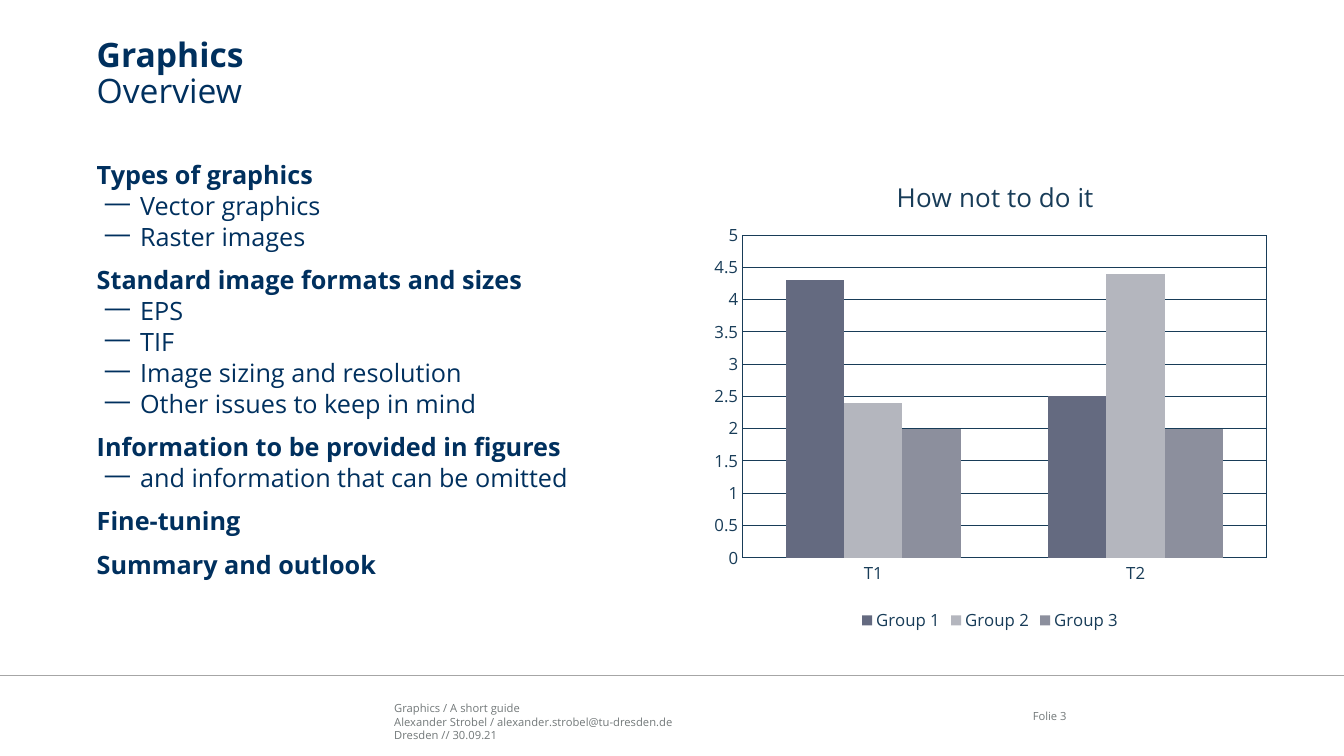
from dataclasses import dataclass

from lxml.etree import SubElement
from pptx import Presentation
from pptx.chart.data import CategoryChartData
from pptx.dml.color import RGBColor
from pptx.enum.chart import XL_CHART_TYPE as ChartType
from pptx.enum.chart import XL_LEGEND_POSITION as LegendPos
from pptx.enum.chart import XL_TICK_MARK as Tick
from pptx.enum.shapes import MSO_CONNECTOR as Connector
from pptx.enum.text import MSO_ANCHOR as Anchor
from pptx.enum.text import PP_ALIGN as Align
from pptx.oxml import parse_xml
from pptx.oxml.ns import nsdecls, qn
from pptx.util import Inches, Pt

FONT = "Open Sans"
NAVY, GREY, RULE, CHART_BLUE = "00305E", "727879", "A6A6A6", "183C58"


@dataclass
class Topic:
    heading: str
    items: tuple[str, ...] = ()


@dataclass
class Group:
    name: str
    values: tuple[float, ...]
    color: str


TOPICS = [
    Topic("Types of graphics", ("Vector graphics", "Raster images")),
    Topic("Standard image formats and sizes",
          ("EPS", "TIF", "Image sizing and resolution", "Other issues to keep in mind")),
    Topic("Information to be provided in figures", ("and information that can be omitted",)),
    Topic("Fine-tuning"),
    Topic("Summary and outlook"),
]
GROUPS = [
    Group("Group 1", (4.3, 2.5), "646A80"),
    Group("Group 2", (2.4, 4.4), "B4B6BE"),
    Group("Group 3", (2, 2), "8C8F9D"),
]
FOOTER = ["Graphics / A short guide",
          "Alexander Strobel / alexander.strobel@tu-dresden.de",
          "Dresden // 30.09.21"]


def rgb(color: str) -> RGBColor:
    return RGBColor.from_string(color)


def set_font(font, size: float, color: str, bold: bool = False) -> None:
    font.name, font.size, font.bold = FONT, Pt(size), bold
    font.color.rgb = rgb(color)


def set_line(line, color: str, width: float) -> None:
    line.color.rgb = rgb(color)
    line.width = Pt(width)


def add_box(s, x: float, y: float, w: float, h: float, anchor=Anchor.TOP):
    tf = s.shapes.add_textbox(Inches(x), Inches(y), Inches(w), Inches(h)).text_frame
    tf.word_wrap = True
    tf.vertical_anchor = anchor
    tf.margin_left = tf.margin_top = tf.margin_right = tf.margin_bottom = 0
    return tf


def add_par(tf, text: str, size: float, color: str, bold: bool = False, before: float = 0,
            spacing: float = 1.0, align=Align.LEFT, bullet: bool = False) -> None:
    first = not tf.paragraphs[0].runs
    p = tf.paragraphs[0] if first else tf.add_paragraph()
    p.alignment = align
    p.line_spacing = spacing
    p.space_before = Pt(0 if first else before)
    if bullet:
        p.level = 1
        pPr = p._p.get_or_add_pPr()
        pPr.set("marL", str(Inches(0.43)))
        pPr.set("indent", str(Inches(-0.35)))
        SubElement(pPr, qn("a:buChar")).set("char", "—")
    r = p.add_run()
    r.text = text
    set_font(r.font, size, color, bold)


def set_layout(parent, index: int, **fractions: float) -> None:
    for old in parent.findall(qn("c:layout")):
        parent.remove(old)
    inner = '<c:layoutTarget val="inner"/>' if "w" in fractions else ""
    modes = "".join(f'<c:{k}Mode val="edge"/>' for k in fractions if k in "xy")
    values = "".join(f'<c:{k} val="{v}"/>' for k, v in fractions.items())
    parent.insert(index, parse_xml(
        f'<c:layout {nsdecls("c")}><c:manualLayout>{inner}{modes}{values}'
        '</c:manualLayout></c:layout>'))


def add_bar_chart(s) -> None:
    data = CategoryChartData()
    data.categories = ["T1", "T2"]
    for group in GROUPS:
        data.add_series(group.name, group.values)
    chart = s.shapes.add_chart(ChartType.COLUMN_CLUSTERED, Inches(6.96), Inches(1.46),
                               Inches(5.72), Inches(4.85), data).chart
    set_font(chart.font, 10, CHART_BLUE)

    chart.has_title = True
    title = chart.chart_title
    title.include_in_layout = False
    p = title.text_frame.paragraphs[0]
    r = p.add_run()
    r.text = "How not to do it"
    set_font(r.font, 18.6, CHART_BLUE)
    set_layout(title._element, 1, x=0.33, y=0.05)

    chart.has_legend = True
    chart.legend.position = LegendPos.BOTTOM
    chart.legend.include_in_layout = False
    set_font(chart.legend.font, 12, CHART_BLUE)

    plot = chart.plots[0]
    plot.gap_width, plot.overlap = 150, 0
    plot.vary_by_categories = False
    for series, group in zip(plot.series, GROUPS):
        series.format.fill.solid()
        series.format.fill.fore_color.rgb = rgb(group.color)

    for axis in (chart.category_axis, chart.value_axis):
        axis.major_tick_mark = axis.minor_tick_mark = Tick.NONE
        set_font(axis.tick_labels.font, 12, CHART_BLUE)
    set_line(chart.category_axis.format.line, CHART_BLUE, 0.75)
    value = chart.value_axis
    value.minimum_scale, value.maximum_scale, value.major_unit = 0, 5, 0.5
    value.format.line.fill.background()
    value.has_major_gridlines = True
    set_line(value.major_gridlines.format.line, CHART_BLUE, 0.75)
    value.tick_labels.number_format = "General"
    value.tick_labels.number_format_is_linked = False

    area = chart._chartSpace.chart.plotArea
    set_layout(area, 0, x=0.07, y=0.18, w=0.91, h=0.66)
    area.append(parse_xml(
        f'<c:spPr {nsdecls("c", "a")}><a:noFill/><a:ln w="{Pt(0.75)}"><a:solidFill>'
        f'<a:srgbClr val="{CHART_BLUE}"/></a:solidFill></a:ln></c:spPr>'))


def main() -> None:
    prs = Presentation()
    prs.slide_width, prs.slide_height = Inches(13.33), Inches(7.5)
    s = prs.slides.add_slide(prs.slide_layouts[6])

    footer = add_box(s, 3.91, 6.91, 5.67, 0.45, Anchor.BOTTOM)
    for text in FOOTER:
        add_par(footer, text, 8, GREY)
    rule = s.shapes.add_connector(Connector.STRAIGHT, 0, Inches(6.7),
                                  prs.slide_width, Inches(6.7))
    set_line(rule.line, RULE, 1)
    SubElement(rule._element.spPr, qn("a:effectLst"))
    number = add_box(s, 9.81, 6.9, 0.77, 0.4, Anchor.MIDDLE)
    add_par(number, "Folie 3", 8, GREY, align=Align.RIGHT)

    body = add_box(s, 0.96, 1.62, 5.9, 4.75)
    for topic in TOPICS:
        add_par(body, topic.heading, 18, NAVY, bold=True, before=12, spacing=0.88)
        for item in topic.items:
            add_par(body, item, 18, NAVY, before=3, spacing=0.88, bullet=True)

    title = add_box(s, 0.96, 0.38, 11.57, 0.75)
    add_par(title, "Graphics", 24, NAVY, bold=True, spacing=0.9)
    add_par(title, "Overview", 24, NAVY, spacing=0.9)

    add_bar_chart(s)
    prs.save("out.pptx")


if __name__ == "__main__":
    main()
